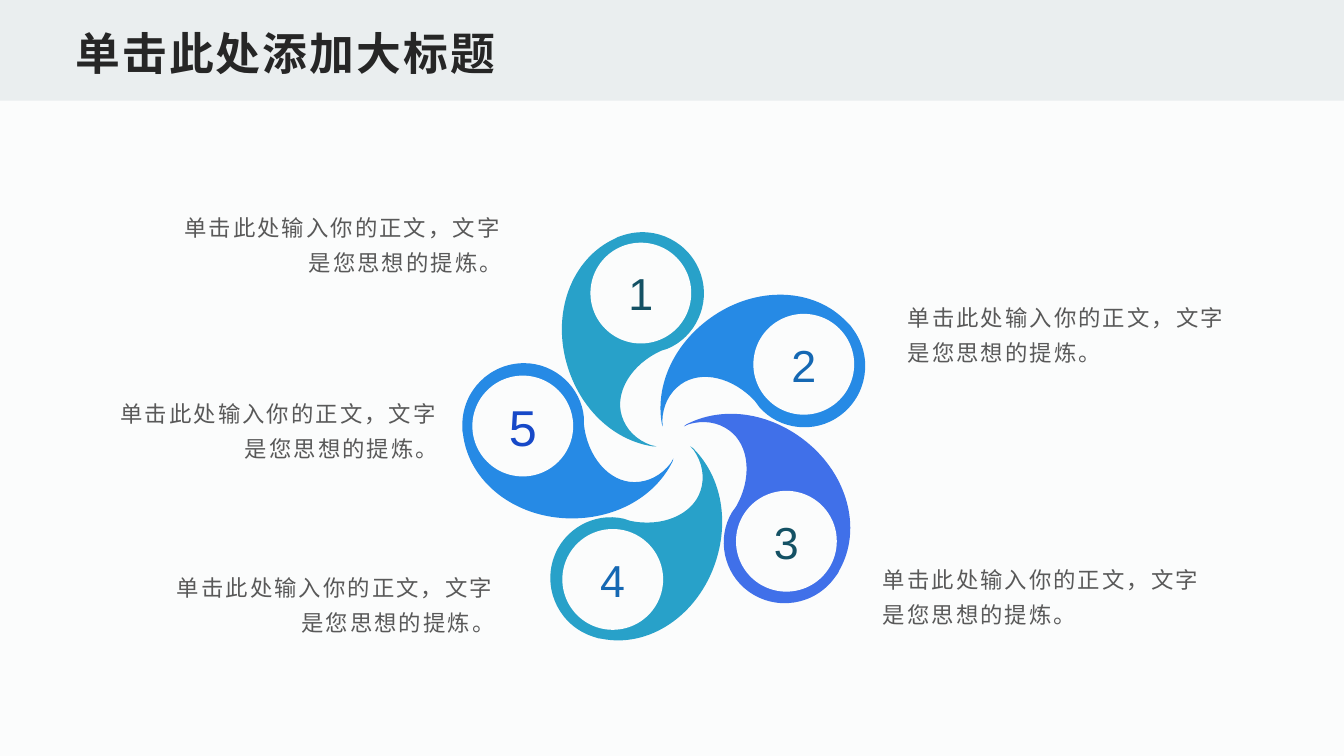
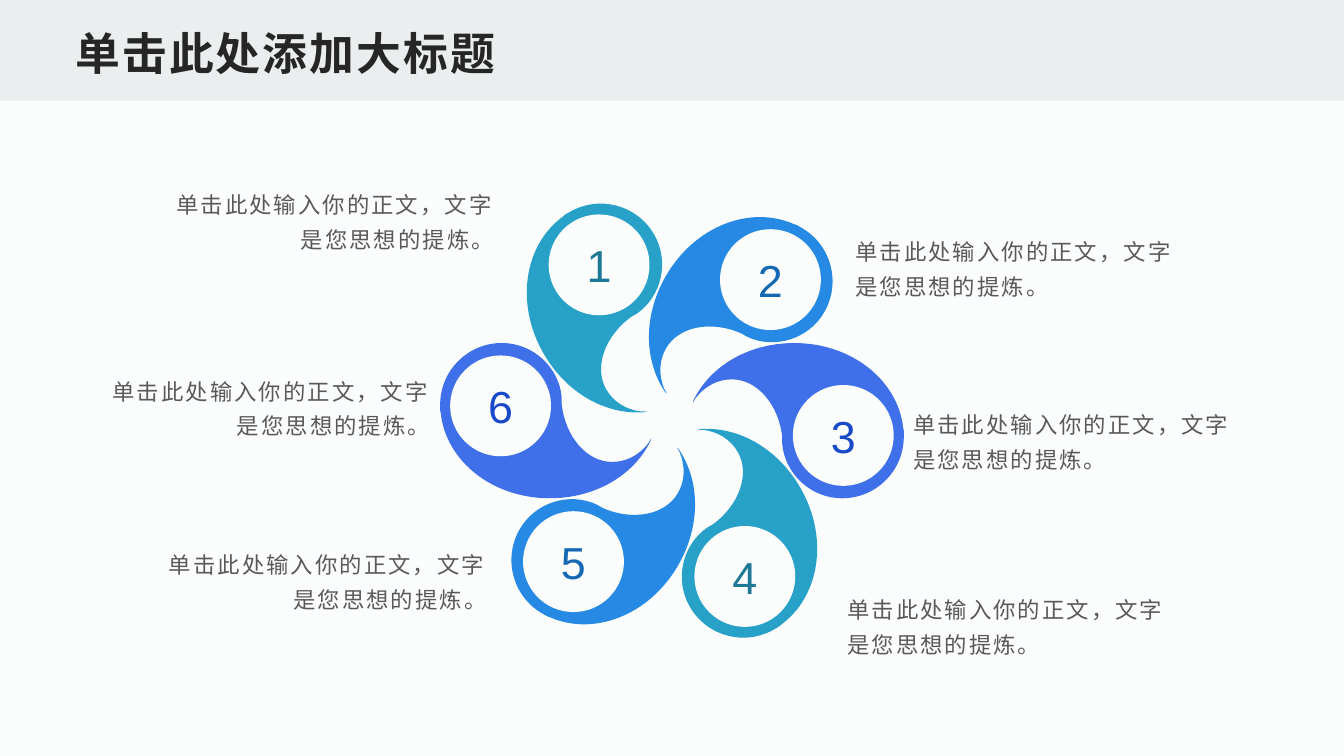
import math
from lxml import etree
from pptx import Presentation, util as u
from pptx.dml.color import RGBColor
from pptx.enum import shapes, text
from pptx.oxml.ns import qn

PX = 6096
WIDE, HIGH = 2000, 1125
PAPER, BAND, DARK, GREY = "FBFCFC", "EAEEEF", "262626", "595959"
TEAL, BLUE, ROYAL = "28A1C9", "268AE5", "4070E9"
TITLE = "单击此处添加大标题"
BODY = "单击此处输入你的正文，文字是您思想的提炼。"
LEFT, MID, RIGHT = text.PP_ALIGN.LEFT, text.PP_ALIGN.CENTER, text.PP_ALIGN.RIGHT
TOP, CORE, BASE = text.MSO_ANCHOR.TOP, text.MSO_ANCHOR.MIDDLE, text.MSO_ANCHOR.BOTTOM

PETAL_W, PETAL_H = 314, 231
DISC = 150
DISC_X, DISC_Y = -67, -22
START = (92, 0)
CURVES = [
    [(41, 0), (0, 41), (0, 92)],
    [(0, 94), (0, 97), (0, 100)],
    [(1, 105)],
    [(9, 176), (78, 231), (163, 231)],
    [(231, 231), (288, 197), (313, 146)],
    [(314, 142)],
    [(310, 149)],
    [(296, 167), (277, 177), (256, 177)],
    [(218, 177), (186, 139), (181, 91)],
    [(181, 81)],
    [(177, 36), (138, 0), (92, 0)],
]

PAGES = [
    dict(
        hub=(1002, 656), reach=157,
        petals=[("5", 36, BLUE, "1749C8"), ("1", 32, TEAL, "145164"),
                ("2", 32, BLUE, "1568B3"), ("3", 32, ROYAL, "145164"),
                ("4", 32, TEAL, "1568B3")],
        notes=[(1336, 428, LEFT, CORE), (1299, 822, LEFT, TOP),
               (135, 572, RIGHT, CORE), (219, 830, RIGHT, CORE),
               (230, 290, RIGHT, BASE)],
    ),
    dict(
        hub=(1000, 626), reach=188,
        petals=[("6", 32, ROYAL, "1749C8"), ("1", 32, TEAL, "1E7997"),
                ("2", 32, BLUE, "1568B3"), ("3", 32, ROYAL, "1749C8"),
                ("4", 32, TEAL, "1E7997"), ("5", 32, BLUE, "1568B3")],
        notes=[(1258, 330, LEFT, CORE), (1344, 588, LEFT, CORE),
               (123, 538, RIGHT, CORE), (207, 796, RIGHT, CORE),
               (218, 256, RIGHT, BASE), (1246, 867, LEFT, TOP)],
    ),
]


def ink(fill, color):
    fill.solid()
    fill.fore_color.rgb = RGBColor.from_string(color)


def say(shape, words, size, color, align, anchor, inset=(15, 8), gap=0):
    frame = shape.text_frame
    frame.word_wrap = True
    frame.vertical_anchor = anchor
    frame.margin_left = frame.margin_right = inset[0] * PX
    frame.margin_top = frame.margin_bottom = inset[1] * PX
    para = frame.paragraphs[0]
    para.alignment = align
    run = para.add_run()
    run.text = words
    run.font.name = "Arial"
    run.font.size = u.Pt(size)
    ink(run.font.fill, color)
    if gap:
        run.font._element.set("spc", str(gap))
    return para


deck = Presentation()
deck.slide_width, deck.slide_height = WIDE * PX, HIGH * PX
ink(deck.slide_master.background.fill, PAPER)

for page in PAGES:
    slide = deck.slides.add_slide(deck.slide_layouts[6])
    tree = slide.shapes

    band = tree.add_shape(shapes.MSO_SHAPE.RECTANGLE, 0, 0, WIDE * PX, 150 * PX)
    ink(band.fill, BAND)
    head = tree.add_textbox(100 * PX, 25 * PX, 1800 * PX, 100 * PX)
    para = say(head, TITLE, 32, DARK, LEFT, BASE, (12, 6), 150)
    para.runs[0].font.bold = True

    for i, (num, size, color, shade) in enumerate(page["petals"]):
        turn = 360 / len(page["petals"]) * i
        cos, sin = math.cos(math.radians(turn)), math.sin(math.radians(turn))
        x = page["hub"][0] - page["reach"] * cos
        y = page["hub"][1] - page["reach"] * sin
        pen = tree.build_freeform(*START, scale=PX)
        pen.add_line_segments([curve[-1] for curve in CURVES], close=True)
        petal = pen.convert_to_shape(round((x - PETAL_W / 2) * PX),
                                     round((y - PETAL_H / 2) * PX))
        for line, curve in zip(list(petal._element.iter(qn("a:lnTo"))), CURVES):
            if len(curve) == 3:
                bend = etree.Element(qn("a:cubicBezTo"))
                for a, b in curve:
                    etree.SubElement(bend, qn("a:pt"), x=str(a), y=str(b))
                line.getparent().replace(line, bend)
        petal.rotation = turn
        ink(petal.fill, color)

        left = x + DISC_X * cos - DISC_Y * sin - DISC / 2
        top = y + DISC_X * sin + DISC_Y * cos - DISC / 2
        disc = tree.add_shape(shapes.MSO_SHAPE.OVAL, round(left * PX),
                              round(top * PX), DISC * PX, DISC * PX)
        ink(disc.fill, PAPER)
        say(disc, num, size, shade, MID, CORE, (0, 0))

    for x, y, align, anchor in page["notes"]:
        note = tree.add_textbox(x * PX, y * PX, 532 * PX, 128 * PX)
        para = say(note, BODY, 16, GREY, align, anchor, gap=150)
        para.line_spacing = 1.3

    for shape in tree:
        shape.line.fill.background()
        shape.shadow.inherit = False

deck.save("out.pptx")
